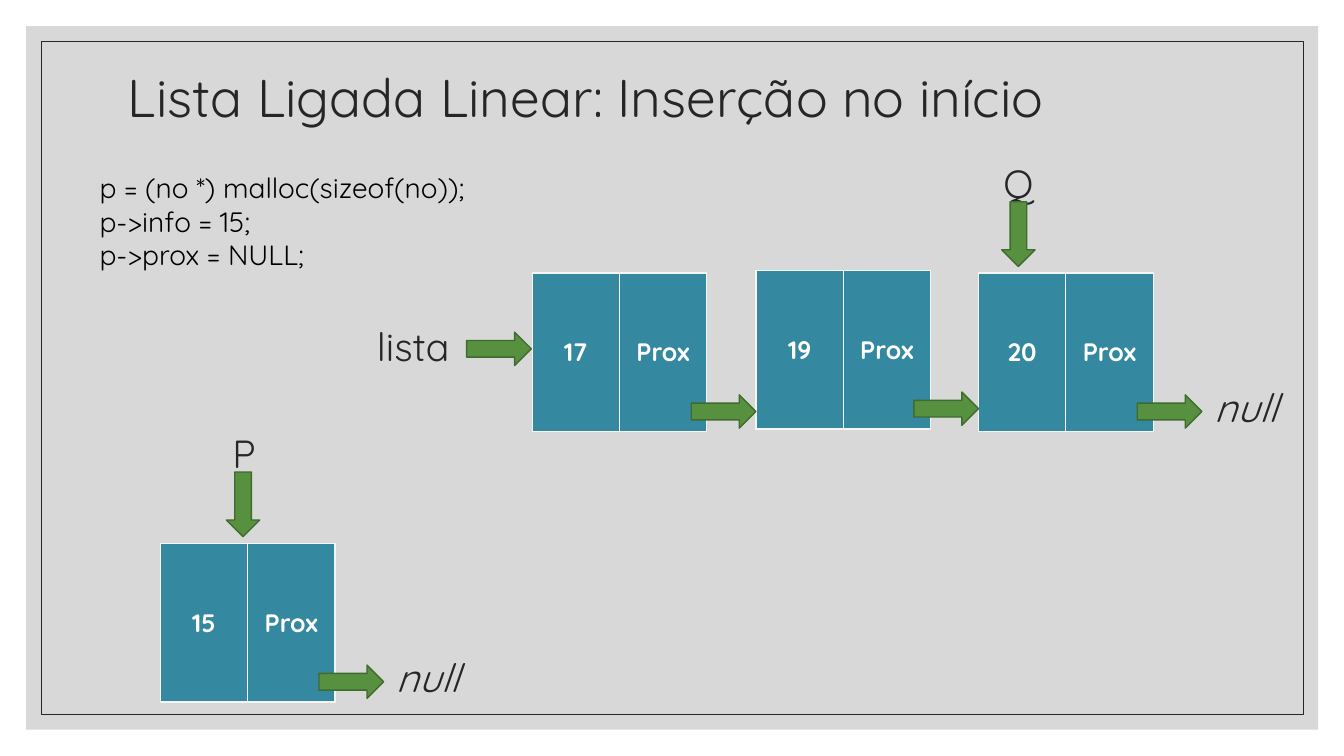
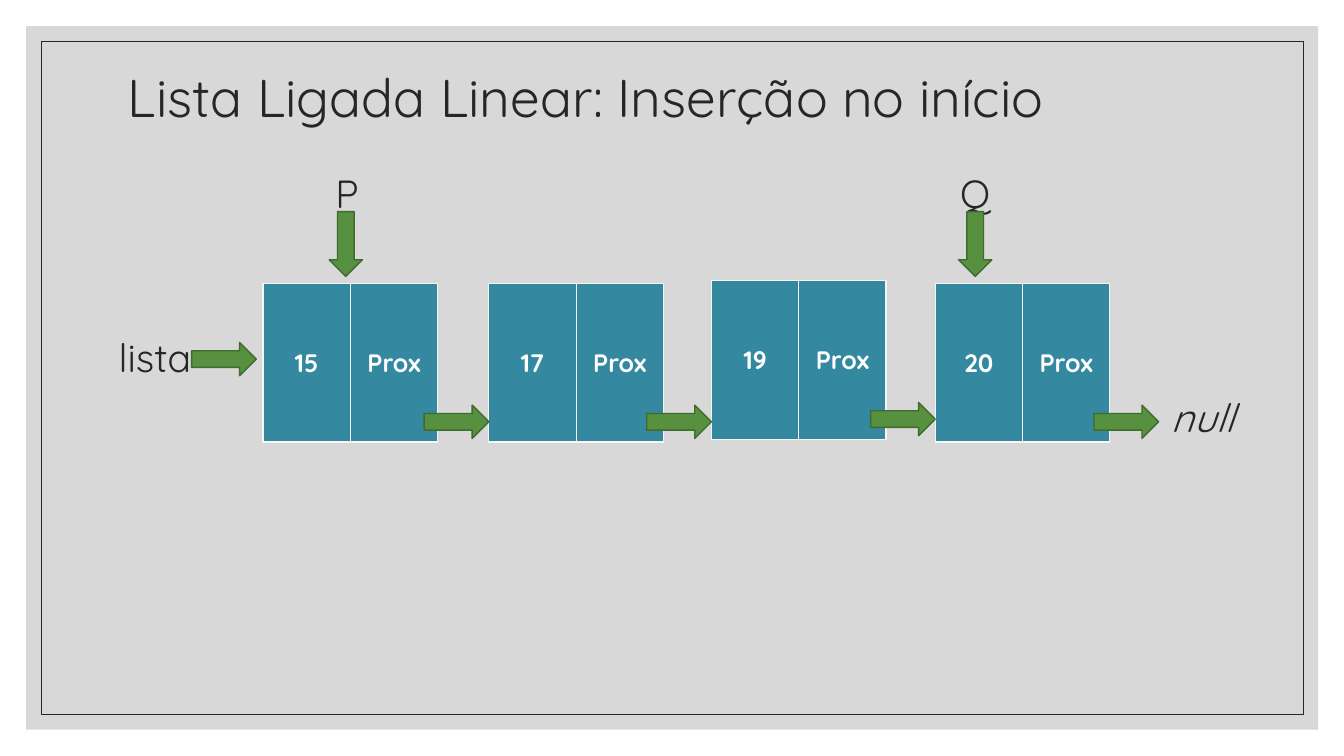
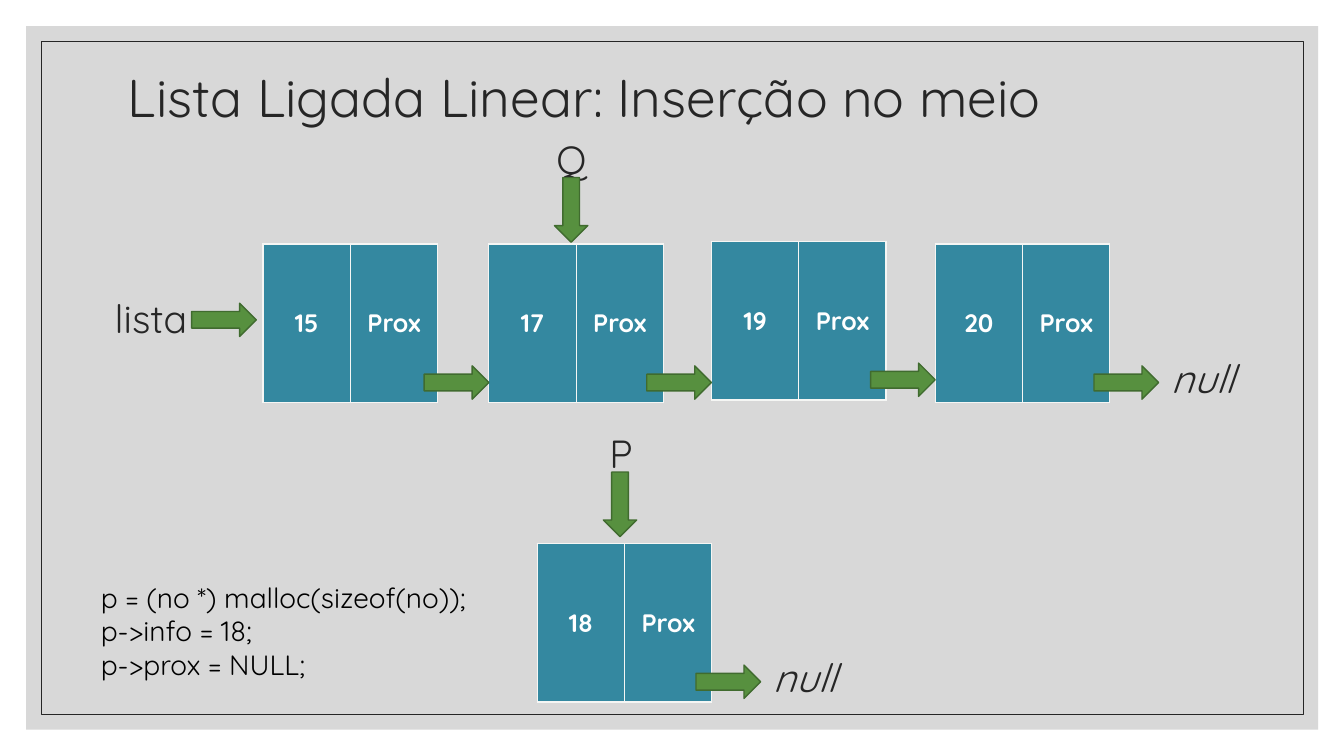
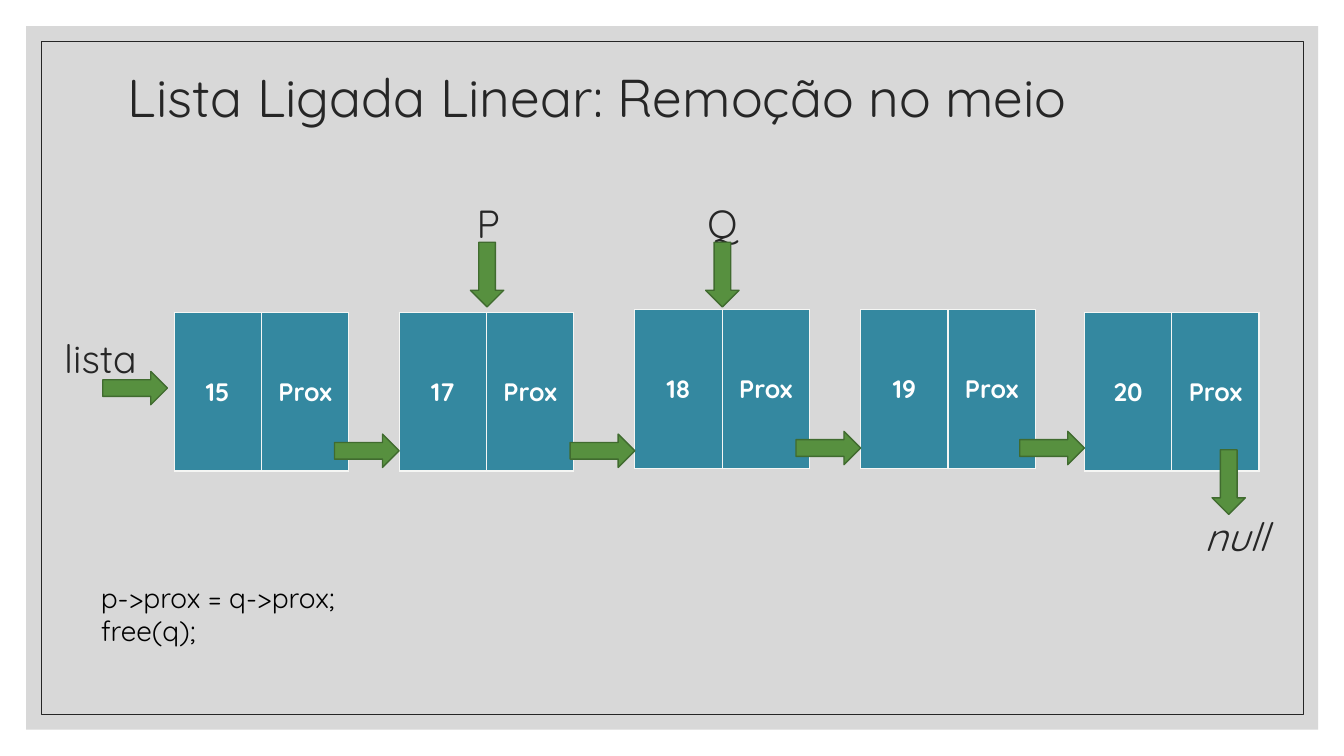
from lxml import etree
from pptx import Presentation
from pptx import util as u
from pptx.dml import color
from pptx.enum import shapes, text
from pptx.oxml import ns

FONT = "Quicksand"
INK = "262626"
NODE_FILL = "3488A0"
NODE_BORDER = "F5F6F4"
ARROW_FILL = "57903F"
ARROW_LINE = "406B2F"

NODE_WIDTH, NODE_HEIGHT = 4.4, 4.0
ARROW_LENGTH, ARROW_THICKNESS = 1.63, 0.84
LINK_DROP = 3.07
POINTER_SHIFT = {"P": 0.3, "Q": 0.19}

DIAGRAMS = [
    {
        "title": "Lista Ligada Linear: Inserção no início",
        "chains": [
            [("17", 13.41, 6.88), ("19", 19.05, 6.81), ("20", 24.66, 6.88)],
            [("15", 4.04, 13.69)],
        ],
        "list_label": (9.25, 6.88),
        "list_arrow_left": 11.76,
        "pointers": [("Q", 25.04, 3.86), ("P", 5.61, 10.67)],
        "code": ("p = (no *) malloc(sizeof(no));\np->info = 15;\np->prox = NULL;", 2.26, 4.17),
    },
    {
        "title": "Lista Ligada Linear: Inserção no início",
        "chains": [
            [("15", 6.63, 7.14), ("17", 12.32, 7.14), ("19", 17.93, 7.07), ("20", 23.57, 7.14)],
        ],
        "list_label": (2.74, 7.16),
        "list_arrow_left": 4.83,
        "pointers": [("P", 8.2, 4.11), ("Q", 23.95, 4.11)],
    },
    {
        "title": "Lista Ligada Linear: Inserção no meio",
        "chains": [
            [("15", 6.63, 6.15), ("17", 12.32, 6.15), ("19", 17.93, 6.08), ("20", 23.57, 6.15)],
            [("18", 13.54, 13.69)],
        ],
        "list_label": (2.64, 6.17),
        "list_arrow_left": 4.83,
        "pointers": [("Q", 13.77, 3.25), ("P", 15.11, 10.67)],
        "code": ("p = (no *) malloc(sizeof(no));\np->info = 18;\np->prox = NULL;", 2.29, 14.5),
    },
    {
        "title": "Lista Ligada Linear: Remoção no meio",
        "chains": [
            [("15", 4.39, 7.87), ("17", 10.06, 7.87), ("18", 16.0, 7.8),
             ("19", 21.69, 7.8), ("20", 27.33, 7.87)],
        ],
        "list_label": (1.37, 7.19),
        "list_arrow_left": 2.59,
        "pointers": [("P", 11.76, 4.88), ("Q", 17.58, 4.88)],
        "null_below": True,
        "code": ("p->prox = q->prox;\nfree(q);", 2.29, 14.5),
    },
]


def paint(fill, hex_color):
    fill.solid()
    fill.fore_color.rgb = color.RGBColor.from_string(hex_color)


def write(text_frame, content, size, hex_color, spacing=None, align=text.PP_ALIGN.LEFT,
          bold=False, italic=False):
    text_frame.text = content
    for paragraph in text_frame.paragraphs:
        paragraph.alignment = align
        paragraph.line_spacing = spacing
        for run in paragraph.runs:
            run.font.name = FONT
            run.font.size = u.Pt(size)
            run.font.bold = bold
            run.font.italic = italic
            paint(run.font.fill, hex_color)


presentation = Presentation()
presentation.slide_width = u.Cm(33.87)
presentation.slide_height = u.Cm(19.05)
layout = presentation.slide_layouts[5]

title_holder = layout.placeholders[0]
title_holder.left, title_holder.top = u.Cm(2.97), u.Cm(0.61)
title_holder.width, title_holder.height = u.Cm(27.94), u.Cm(3.81)

for diagram in DIAGRAMS:
    slide = presentation.slides.add_slide(layout)
    write(slide.shapes.title.text_frame, diagram["title"], 38, INK, 0.9)

    arrows = []
    labels = []

    for chain in diagram["chains"]:
        for index, (value, left, top) in enumerate(chain):
            frame = slide.shapes.add_table(
                1, 2, u.Cm(left), u.Cm(top), u.Cm(NODE_WIDTH), u.Cm(NODE_HEIGHT))
            frame.table.first_row = False
            frame.table.horz_banding = False
            for column, content in enumerate((value, "Prox")):
                cell = frame.table.cell(0, column)
                cell.vertical_anchor = text.MSO_ANCHOR.MIDDLE
                write(cell.text_frame, content, 18, "FFFFFF",
                      align=text.PP_ALIGN.CENTER, bold=True)
                properties = cell._tc.get_or_add_tcPr()
                for side in ("a:lnL", "a:lnR", "a:lnT", "a:lnB"):
                    border = etree.SubElement(properties, ns.qn(side), w="12700")
                    border_fill = etree.SubElement(border, ns.qn("a:solidFill"))
                    etree.SubElement(border_fill, ns.qn("a:srgbClr"), val=NODE_BORDER)
                paint(cell.fill, NODE_FILL)

            link_top = top + LINK_DROP
            if index + 1 < len(chain):
                arrows.append((chain[index + 1][1] - ARROW_LENGTH, link_top, 0))
            elif diagram.get("null_below"):
                arrows.append((left + 2.82, top + 3.86, 90))
                labels.append(("null", left + 2.77, top + 3.81, 3.5, 3.81))
            else:
                link_left = left + 4.0
                arrows.append((link_left, link_top, 0))
                labels.append(("null", link_left + 1.69, link_top - 1.54, 3.5, 3.81))

    head_top = diagram["chains"][0][0][2]
    arrows.append((diagram["list_arrow_left"], head_top + 1.49, 0))
    labels.append(("lista", *diagram["list_label"], 3.5, 3.81))

    for letter, left, top in diagram["pointers"]:
        labels.append((letter, left, top, 0.94, 1.63))
        arrows.append((left - POINTER_SHIFT[letter], top + 1.62, 90))

    for content, left, top, width, height in labels:
        label = slide.shapes.add_textbox(u.Cm(left), u.Cm(top), u.Cm(width), u.Cm(height))
        label.text_frame.word_wrap = True
        label.text_frame.vertical_anchor = text.MSO_ANCHOR.MIDDLE
        write(label.text_frame, content, 28, INK, 0.9, italic=content == "null")

    for left, top, rotation in arrows:
        arrow = slide.shapes.add_shape(
            shapes.MSO_SHAPE.RIGHT_ARROW, u.Cm(left), u.Cm(top),
            u.Cm(ARROW_LENGTH), u.Cm(ARROW_THICKNESS))
        arrow.rotation = rotation
        arrow.shadow.inherit = False
        paint(arrow.fill, ARROW_FILL)
        paint(arrow.line.fill, ARROW_LINE)
        arrow.line.width = u.Pt(1)

    if "code" in diagram:
        source, left, top = diagram["code"]
        code = slide.shapes.add_textbox(
            u.Cm(left), u.Cm(top), u.Cm(10.6), u.Cm(0.26 + 0.85 * len(source.splitlines())))
        code.text_frame.word_wrap = True
        write(code.text_frame, source, 20, "000000")

first_slide = presentation.slides[0]
panel = first_slide.shapes.add_shape(
    shapes.MSO_SHAPE.RECTANGLE, u.Cm(0.66), u.Cm(0.66), u.Cm(32.56), u.Cm(17.73))
paint(panel.fill, "BFBFBF")
panel.line.fill.background()
panel_color = panel.element.find(".//" + ns.qn("a:srgbClr"))
etree.SubElement(panel_color, ns.qn("a:alpha"), val="60000")

outline = first_slide.shapes.add_shape(
    shapes.MSO_SHAPE.RECTANGLE, u.Cm(1.04), u.Cm(1.04), u.Cm(31.8), u.Cm(16.97))
outline.fill.background()
paint(outline.line.fill, INK)
outline.line.width = u.Pt(0.5)

for position, backdrop in enumerate((panel, outline)):
    backdrop.shadow.inherit = False
    backdrop.element.nvSpPr.cNvPr.set("id", str(101 + position))
    layout.shapes.element.insert(2 + position, backdrop.element)

presentation.save("out.pptx")
